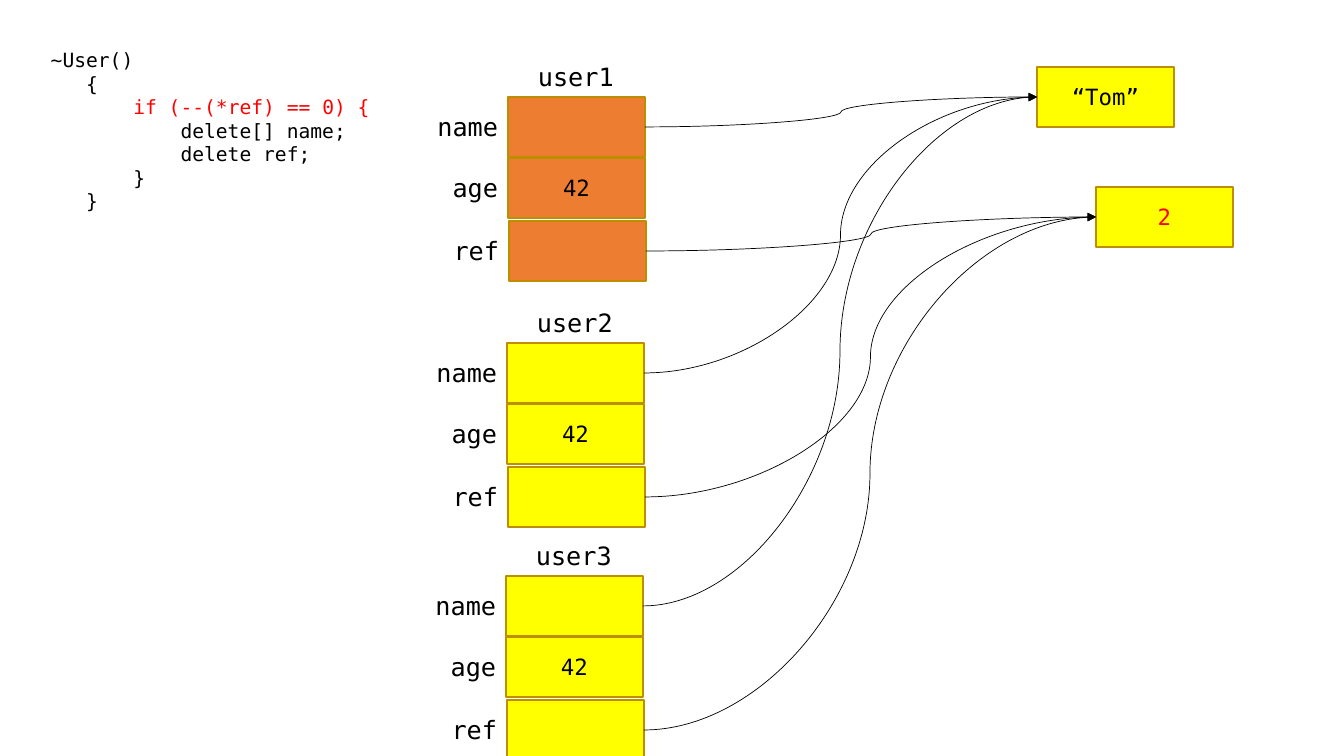
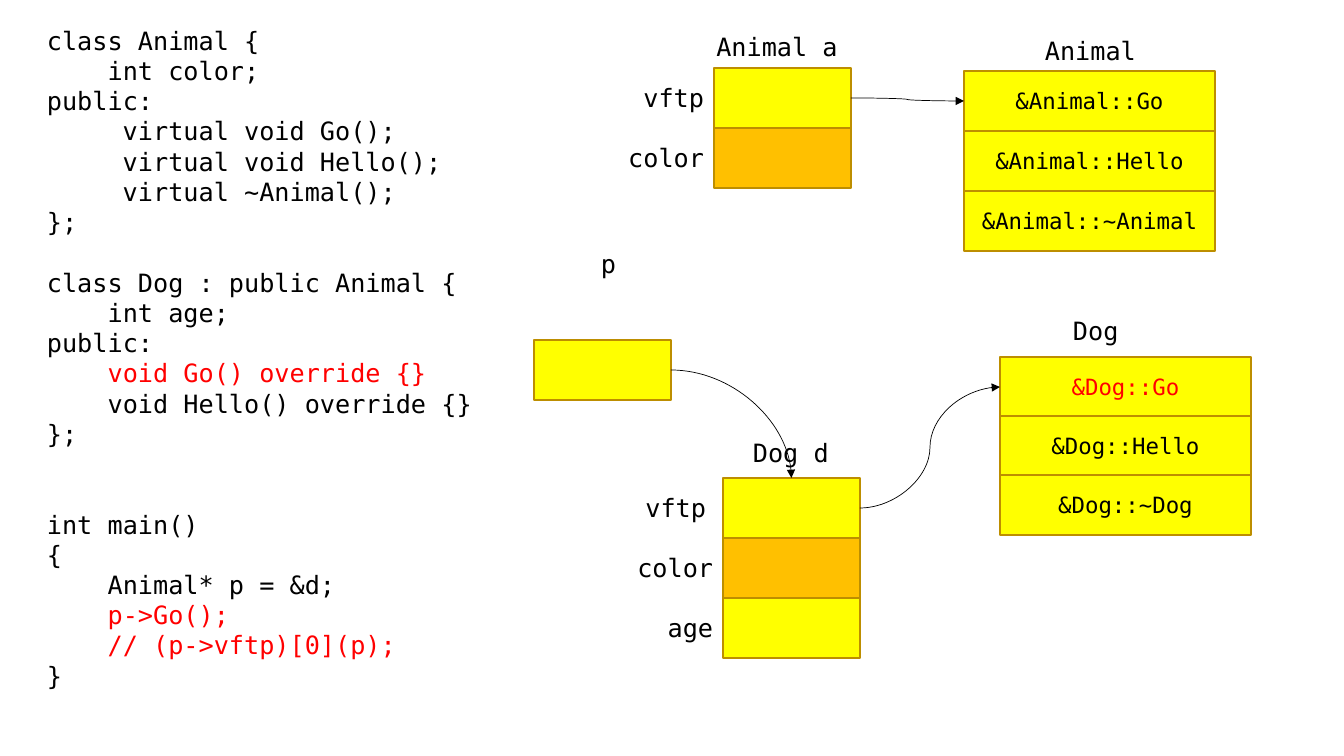
"""Build two slides on shared object memory and virtual function tables."""
from collections import namedtuple

from lxml import etree
from pptx import Presentation
from pptx.dml.color import RGBColor
from pptx.enum.shapes import MSO_CONNECTOR, MSO_SHAPE
from pptx.enum.text import MSO_ANCHOR, PP_ALIGN
from pptx.oxml.ns import qn
from pptx.util import Emu, Pt

BLACK = RGBColor(0x00, 0x00, 0x00)
RED = RGBColor(0xFF, 0x00, 0x00)
YELLOW = RGBColor(0xFF, 0xFF, 0x00)
AMBER = RGBColor(0xFF, 0xC0, 0x00)
ORANGE = RGBColor(0xED, 0x7D, 0x31)
BORDER = RGBColor(0xBD, 0x8E, 0x00)

FONT = "DejaVu Sans Mono"
LABEL_FORMAT = {"name": FONT, "size": Pt(18)}
CELL_FORMAT = {"name": FONT, "size": Pt(16)}

SCALE = 914400 / 100.8
SLIDE_WIDTH, SLIDE_HEIGHT = 1344, 756
CELL_WIDTH, TABLE_WIDTH, CELL_HEIGHT = 137, 251, 60
LABEL_HEIGHT, LABEL_DROP = 40, 9
CHARACTER_WIDTH, LINE_HEIGHT = 0.602, 1.2
TOP_SITE, LEFT_SITE, RIGHT_SITE = 0, 1, 3

Code = namedtuple("Code", "box size lines")
Line = namedtuple("Line", "column text color blanks", defaults=(BLACK, 0))
Stack = namedtuple("Stack", "left top width heading offsets rows")
Heading = namedtuple("Heading", "text shift rise width align", defaults=(PP_ALIGN.LEFT,))
Row = namedtuple("Row", "label fill text color", defaults=(None, YELLOW, "", BLACK))
Label = namedtuple("Label", "text width gap", defaults=(0,))


def pitch(step, count):
    return [(0, step * index) for index in range(count)]


def user_stack(name, left, top, fill):
    rows = [Row(Label("name", 88), fill), Row(Label("age", 95), fill, "42"),
            Row(Label("ref", 95), fill)]
    return Stack(left, top, CELL_WIDTH, Heading(name, 20, 41, 97),
                 [(0, 0), (0, 61), (1, 124)], rows)


DESTRUCTOR = Code((29, 43, 672, 176), 14, [
    Line(1, "~User()"),
    Line(4, "{"),
    Line(8, "if (--(*ref) == 0) {", RED),
    Line(12, "delete[] name;"),
    Line(12, "delete ref;"),
    Line(8, "}"),
    Line(4, "}"),
])
CLASSES = Code((37, 20, 672, 682), 18, [
    Line(0, "class Animal {"),
    Line(4, "int color;"),
    Line(0, "public:"),
    Line(5, "virtual void Go();"),
    Line(5, "virtual void Hello();"),
    Line(5, "virtual ~Animal();"),
    Line(0, "};"),
    Line(0, "class Dog : public Animal {", blanks=1),
    Line(4, "int age;"),
    Line(0, "public:"),
    Line(4, "void Go() override {}", RED),
    Line(4, "void Hello() override {}"),
    Line(0, "};"),
    Line(0, "int main()", blanks=2),
    Line(0, "{"),
    Line(4, "Animal* p = &d;"),
    Line(4, "p->Go();", RED),
    Line(4, "// (p->vftp)[0](p);", RED),
    Line(0, "}"),
])

REFERENCE_STACKS = {
    "user1": user_stack("user1", 508, 97, ORANGE),
    "user2": user_stack("user2", 507, 343, YELLOW),
    "user3": user_stack("user3", 506, 576, YELLOW),
    "text": Stack(1037, 67, CELL_WIDTH, None, pitch(60, 1), [Row(text="“Tom”")]),
    "count": Stack(1096, 187, CELL_WIDTH, None, pitch(60, 1), [Row(text="2", color=RED)]),
}
REFERENCE_ARROWS = [
    (user, row, target, LEFT_SITE)
    for user in ("user1", "user2", "user3")
    for row, target in ((0, "text"), (2, "count"))
]

VIRTUAL_STACKS = {
    "animal object": Stack(
        714, 68, CELL_WIDTH, Heading("Animal a", -33, 42, 192, PP_ALIGN.CENTER), pitch(60, 2),
        [Row(Label("vftp", 107)), Row(Label("color", 107), AMBER)]),
    "animal table": Stack(
        964, 71, TABLE_WIDTH, Heading("Animal", 71, 41, 123), pitch(60, 3),
        [Row(text="&Animal::Go"), Row(text="&Animal::Hello"), Row(text="&Animal::~Animal")]),
    "pointer": Stack(
        534, 340, CELL_WIDTH, Heading("p", 57, 97, 79), pitch(60, 1), [Row()]),
    "dog object": Stack(
        723, 478, CELL_WIDTH, Heading("Dog d", 20, 46, 97), pitch(60, 3),
        [Row(Label("vftp", 107, 7)), Row(Label("color", 149), AMBER), Row(Label("age", 104))]),
    "dog table": Stack(
        1000, 357, TABLE_WIDTH, Heading("Dog", 63, 47, 123), pitch(59, 3),
        [Row(text="&Dog::Go", color=RED), Row(text="&Dog::Hello"), Row(text="&Dog::~Dog")]),
}
VIRTUAL_ARROWS = [
    ("animal object", 0, "animal table", LEFT_SITE),
    ("dog object", 0, "dog table", LEFT_SITE),
    ("pointer", 0, "dog object", TOP_SITE),
]

SLIDES = [
    (DESTRUCTOR, REFERENCE_STACKS, REFERENCE_ARROWS),
    (CLASSES, VIRTUAL_STACKS, VIRTUAL_ARROWS),
]


def emu(*pixels):
    return [Emu(round(value * SCALE)) for value in pixels]


def write(paragraph, text, font_format, color, align=PP_ALIGN.LEFT):
    paragraph.alignment = align
    run = paragraph.add_run()
    run.text = text
    for name, value in font_format.items():
        setattr(run.font, name, value)
    run.font.color.rgb = color


def add_label(slide, text, box, align):
    frame = slide.shapes.add_textbox(*emu(*box)).text_frame
    frame.word_wrap = True
    write(frame.paragraphs[0], text, LABEL_FORMAT, BLACK, align)


def add_code(slide, code):
    frame = slide.shapes.add_textbox(*emu(*code.box)).text_frame
    frame.word_wrap = True
    line_height = code.size * LINE_HEIGHT
    for index, line in enumerate(code.lines):
        paragraph = frame.add_paragraph() if index else frame.paragraphs[0]
        paragraph.line_spacing = Pt(line_height)
        paragraph.space_before = Pt(line_height * line.blanks)
        indent = Pt(line.column * code.size * CHARACTER_WIDTH)
        properties = paragraph._p.get_or_add_pPr()
        properties.set("marL", str(int(indent)))
        properties.set("indent", "0")
        write(paragraph, line.text, {"name": FONT, "size": Pt(code.size)}, line.color)


def add_cell(slide, box, row):
    cell = slide.shapes.add_shape(MSO_SHAPE.RECTANGLE, *emu(*box))
    cell.shadow.inherit = False
    cell.fill.solid()
    cell.fill.fore_color.rgb = row.fill
    cell.line.color.rgb = BORDER
    cell.line.width = Pt(1)
    if row.text:
        cell.text_frame.vertical_anchor = MSO_ANCHOR.MIDDLE
        write(cell.text_frame.paragraphs[0], row.text, CELL_FORMAT, row.color, PP_ALIGN.CENTER)
    return cell


def add_stack(slide, stack):
    heading = stack.heading
    if heading:
        box = (stack.left + heading.shift, stack.top - heading.rise, heading.width, LABEL_HEIGHT)
        add_label(slide, heading.text, box, heading.align)
    cells = []
    for (shift, drop), row in zip(stack.offsets, stack.rows):
        left, top = stack.left + shift, stack.top + drop
        cells.append(add_cell(slide, (left, top, stack.width, CELL_HEIGHT), row))
        if row.label:
            label_left = left - row.label.width - row.label.gap
            box = (label_left, top + LABEL_DROP, row.label.width, LABEL_HEIGHT)
            add_label(slide, row.label.text, box, PP_ALIGN.RIGHT)
    return cells


def add_arrow(slide, source, target, site):
    arrow = slide.shapes.add_connector(MSO_CONNECTOR.CURVE, 0, 0, 0, 0)
    arrow.begin_connect(source, RIGHT_SITE)
    arrow.end_connect(target, site)
    arrow.line.color.rgb = BLACK
    arrow.line.width = Pt(0.5)
    properties = arrow._element.spPr
    if site == TOP_SITE:
        properties.find(qn("a:prstGeom")).set("prst", "curvedConnector2")
    etree.SubElement(properties.find(qn("a:ln")), qn("a:tailEnd"), type="triangle")
    etree.SubElement(properties, qn("a:effectLst"))


def build():
    presentation = Presentation()
    presentation.slide_width, presentation.slide_height = emu(SLIDE_WIDTH, SLIDE_HEIGHT)
    blank_layout = presentation.slide_layouts.get_by_name("Blank")
    for code, stacks, arrows in SLIDES:
        slide = presentation.slides.add_slide(blank_layout)
        add_code(slide, code)
        cells = {name: add_stack(slide, stack) for name, stack in stacks.items()}
        for source, row, target, site in arrows:
            add_arrow(slide, cells[source][row], cells[target][0], site)
    presentation.save("out.pptx")


build()
